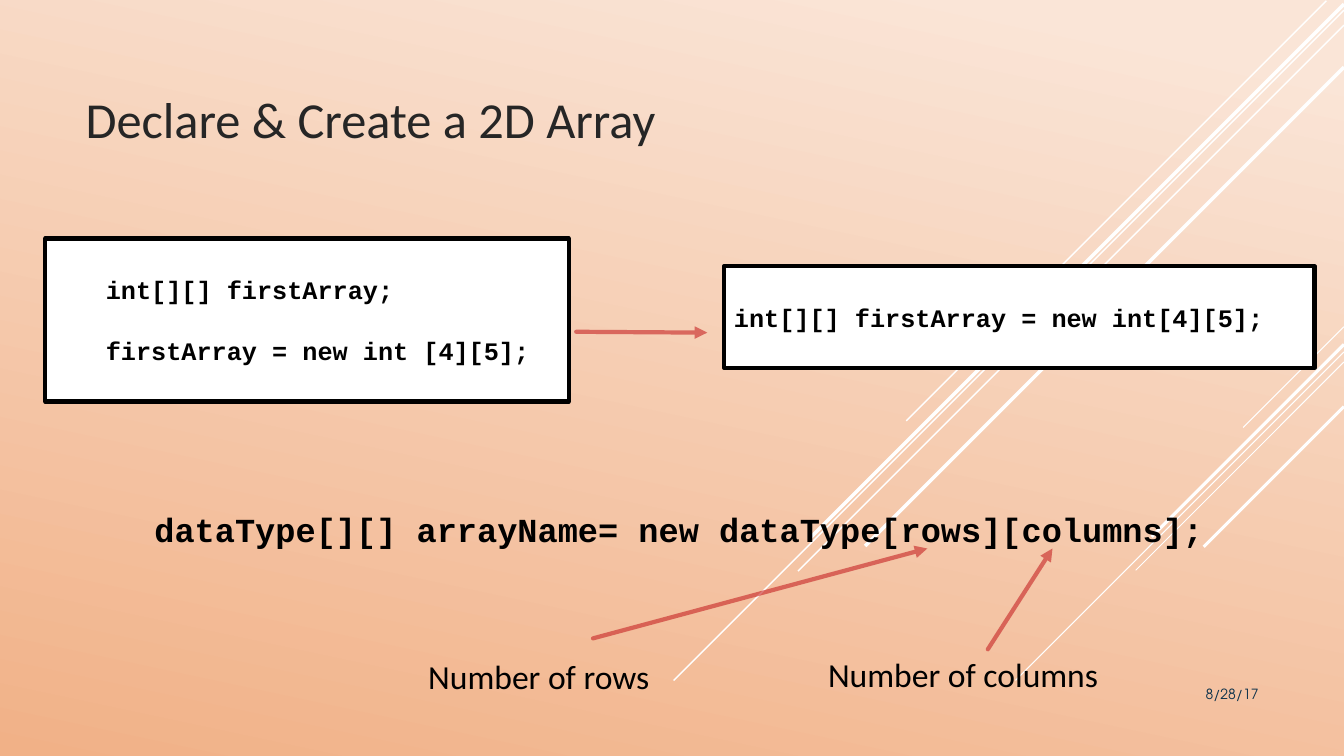
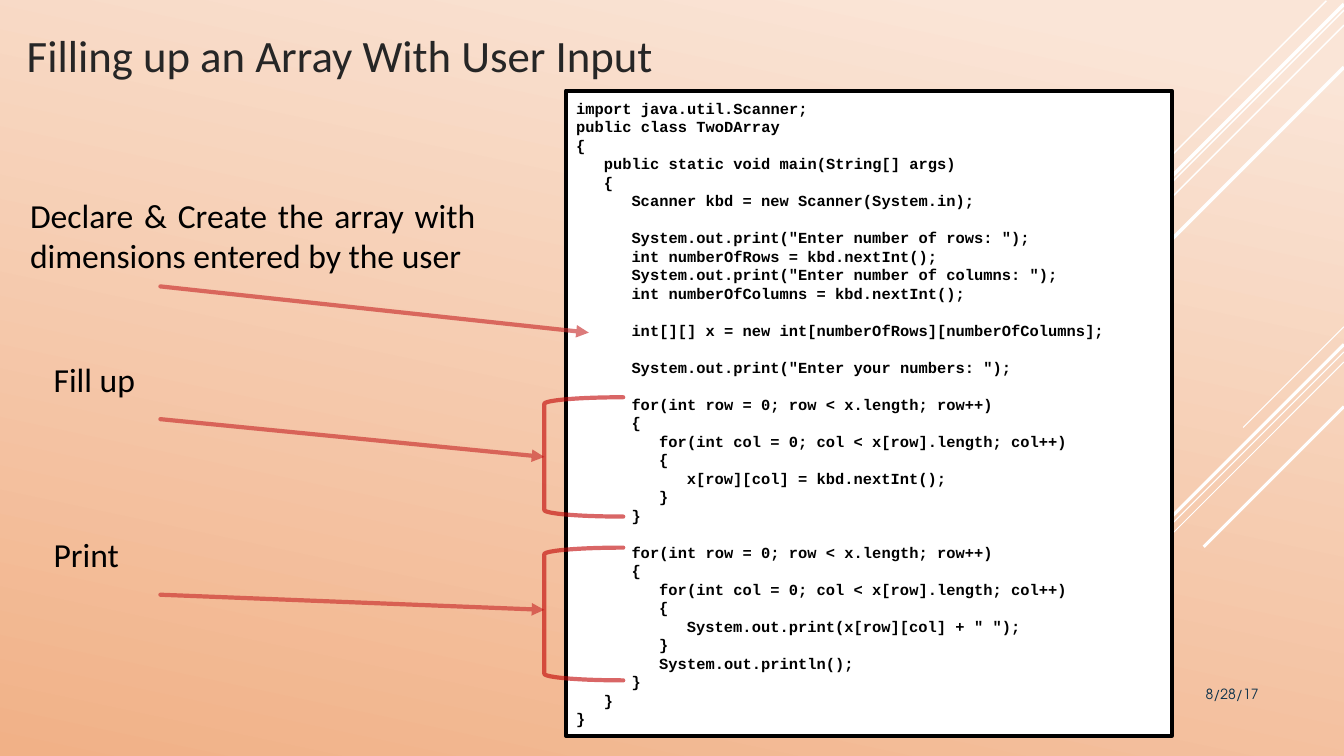
"""Two slides on declaring, filling and printing a 2D array."""
from lxml.etree import SubElement as Sub
from pptx import Presentation
from pptx.dml.color import RGBColor as RGB
from pptx.enum.shapes import MSO_CONNECTOR as Link, MSO_SHAPE as Form
from pptx.enum.text import MSO_ANCHOR as Anchor, PP_ALIGN as Align
from pptx.oxml.ns import qn
from pptx.util import Inches, Pt

WHITE = RGB(0xFF, 0xFF, 0xFF)
BLACK = RGB(0x00, 0x00, 0x00)
PALE = RGB(0xFA, 0xE5, 0xD7)
PEACH = RGB(0xF1, 0xB1, 0x87)
GREY = RGB(0x26, 0x26, 0x26)
NAVY = RGB(0x0A, 0x30, 0x4A)
RED = RGB(0xC6, 0x23, 0x24)
BRICK = RGB(0xC0, 0x00, 0x00)
SANS, MONO, DATE = "Calibri", "Courier New", "TeX Gyre Adventor"
COLS, ROWS = 160, 90
CELL = Inches(7.5) / ROWS

BANDS = [
    (160, 38.9, 12, 0.75), (160, 41.9, 39.1, 0.75), (160, 43.1, 24.8, 0.75),
    (160, 41, 22.9, 2.25), (160, 48.4, 16.7, 2.25), (157.9, 0.1, 50, 1),
    (160, 1.2, 79.8, 1), (160, 3, 65, 1), (160, 0.5, 63.7, 2.5), (160, 8, 57, 2.5),
]

SPLIT = """int[][] firstArray;

firstArray = new int [4][5];"""

INTRO = """import java.util.Scanner;
public class TwoDArray
{
   public static void main(String[] args)
   {
      Scanner kbd = new Scanner(System.in);

      System.out.print("Enter number of rows: ");
      int numberOfRows = kbd.nextInt();
      System.out.print("Enter number of columns: ");
      int numberOfColumns = kbd.nextInt();

      int[][] x = new int[numberOfRows][numberOfColumns];

      System.out.print("Enter your numbers: ");
"""

LOOP = """      for(int row = 0; row < x.length; row++)
      {
         for(int col = 0; col < x[row].length; col++)
         {
            BODY
         }"""

FILL = LOOP.replace("BODY", "x[row][col] = kbd.nextInt();")
SHOW = LOOP.replace("BODY", 'System.out.print(x[row][col] + " ");')

REST = """         System.out.println();
      }
   }
}"""

CODE = "\n".join([INTRO, FILL, "      }\n", SHOW, REST])

PAGES = [
    {
        "title": ("Declare & Create a 2D Array", (9, 5.9, 105, 12.4), 36),
        "boxes": [
            (SPLIT, (5.4, 28.4, 62.3, 19.4), 18, 7.2),
            ("int[][] firstArray = new int[4][5];", (86.2, 31.7, 70.3, 12.1), 18, 1.2),
        ],
        "forms": [("dataType[][] arrayName= new dataType[rows][columns];", (17.2, 59.4, 129, 7.2))],
        "notes": [
            ("Number of rows", (49.8, 77.5, 32.8, 7.1)),
            ("Number of columns", (97.4, 77.3, 40.2, 7.1)),
        ],
        "arrows": [(68.6, 39.5, 84.2, 39.6), (70.6, 76, 110.4, 65.3), (117.6, 77.3, 125.3, 65.3)],
        "braces": [],
    },
    {
        "title": ("Filling up an Array With User Input", (2, 0.6, 105, 9.7), 32),
        "boxes": [(CODE, (67.4, 10.8, 72.1, 76.8), 11, 1.2)],
        "forms": [],
        "notes": [
            ("Declare & Create the array with dimensions entered by the user", (2.4, 22.6, 55.4, 9.5)),
            ("Fill up", (5.2, 42.1, 23.5, 7)),
            ("Print", (5.2, 63, 23.5, 7)),
        ],
        "arrows": [(19.1, 34.1, 70.1, 39.6), (19.1, 49.9, 64.8, 54.4), (19.1, 70.8, 64.8, 72.6)],
        "braces": [(64.8, 47.3, 9.4, 14.2), (64.8, 65.2, 9.4, 15.8)],
    },
]


def stroke(shape, hue, width, alpha=100, head=False):
    shape.line.color.rgb = hue
    shape.line.width = Pt(width)
    props = shape.element.spPr
    line = props.find(qn("a:ln"))
    if alpha < 100:
        line.set("cap", "rnd")
        Sub(line.find(".//" + qn("a:srgbClr")), qn("a:alpha"), val=str(alpha * 1000))
    if head:
        Sub(line, qn("a:tailEnd"), type="triangle")
    Sub(props, qn("a:effectLst"))


def write(shape, text, size, face, hue=BLACK, align=Align.LEFT, anchor=Anchor.TOP, inset=1.2):
    frame = shape.text_frame
    frame.word_wrap = True
    frame.vertical_anchor = anchor
    frame.margin_left = int(inset * CELL)
    para, gap = None, 0
    for row in text.split("\n"):
        if not row:
            gap += 1
            continue
        para = frame.add_paragraph() if para else frame.paragraphs[0]
        para.text = row.lstrip()
        para.alignment = align
        para.font.size, para.font.name = Pt(size), face
        para.font.color.rgb = hue
        if face == MONO:
            para.font.bold = True
            para.line_spacing = Pt(size * 1.2)
            para.space_before = Pt(size * 1.2 * gap)
            dent = (len(row) - len(row.lstrip())) * size * 0.6
            para._p.get_or_add_pPr().set("marL", str(int(Pt(dent))))
        gap = 0


deck = Presentation()
deck.slide_width, deck.slide_height = int(COLS * CELL), int(ROWS * CELL)

for page in PAGES:
    slide = deck.slides.add_slide(deck.slide_layouts[6])
    shapes = slide.shapes
    fill = slide.background.fill
    fill.gradient()
    fill.gradient_angle = 258
    for stop, hue, spot in zip(fill.gradient_stops, (PALE, PEACH), (0.07, 1)):
        stop.color.rgb = hue
        stop.position = spot

    for x, y, drop, width in BANDS:
        ends = [int(n * CELL) for n in (x, y, x - drop, y + drop)]
        stroke(shapes.add_connector(Link.STRAIGHT, *ends), WHITE, width)

    for text, area, size, inset in page["boxes"]:
        box = shapes.add_shape(Form.RECTANGLE, *[int(n * CELL) for n in area])
        box.fill.solid()
        box.fill.fore_color.rgb = WHITE
        stroke(box, BLACK, 3)
        write(box, text, size, MONO, anchor=Anchor.MIDDLE, inset=inset)

    title, area, size = page["title"]
    labels = [(title, area, size, SANS, GREY, Align.LEFT, Anchor.BOTTOM)]
    labels += [(t, a, 24, MONO, BLACK, Align.LEFT, Anchor.MIDDLE) for t, a in page["forms"]]
    labels += [(t, a, 24, SANS, BLACK, Align.JUSTIFY, Anchor.TOP) for t, a in page["notes"]]
    labels.append(("8/28/17", (130, 81, 21, 4.8), 10, DATE, NAVY, Align.RIGHT, Anchor.TOP))
    for text, area, *style in labels:
        write(shapes.add_textbox(*[int(n * CELL) for n in area]), text, *style)

    for ends in page["arrows"]:
        arrow = shapes.add_connector(Link.STRAIGHT, *[int(n * CELL) for n in ends])
        stroke(arrow, RED, 3, 60, True)

    for area in page["braces"]:
        brace = shapes.add_shape(Form.LEFT_BRACKET, *[int(n * CELL) for n in area])
        brace.fill.background()
        stroke(brace, BRICK, 3, 60)

deck.save("out.pptx")
